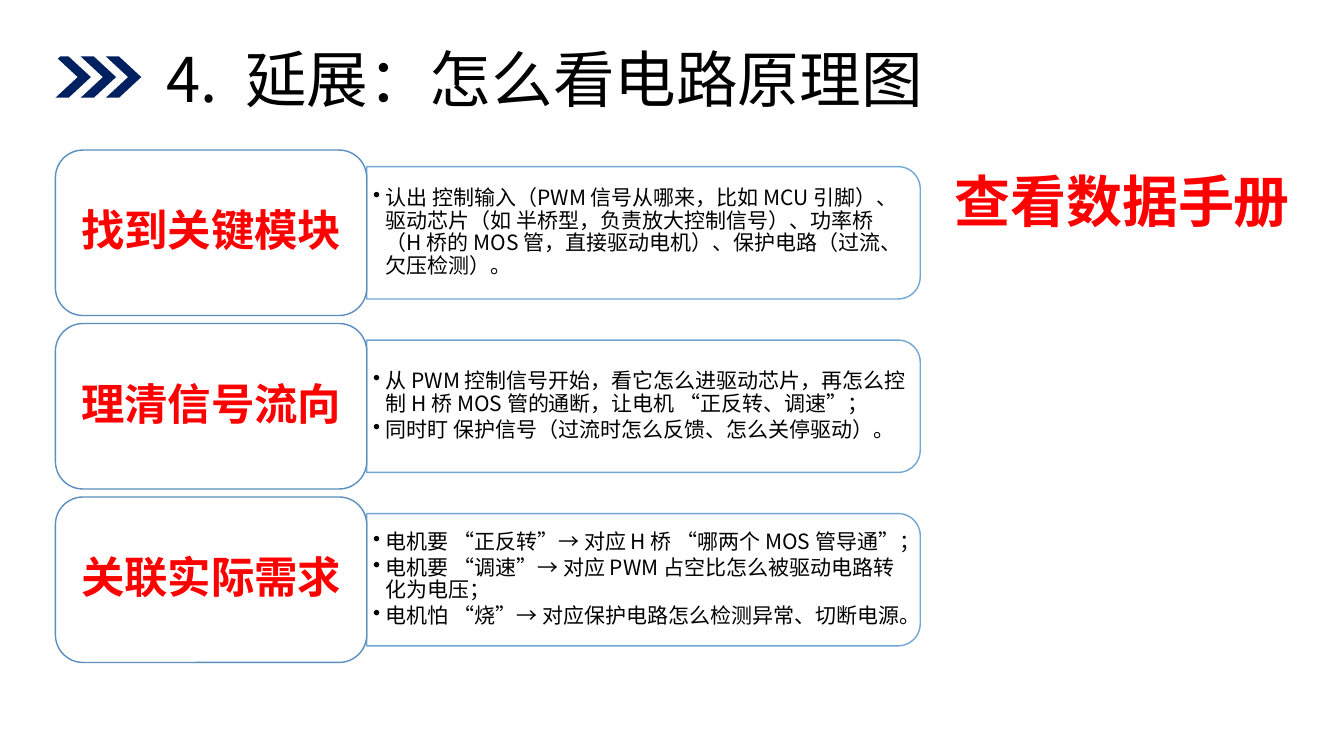
from lxml.etree import SubElement
from pptx import Presentation
from pptx.dml.color import RGBColor
from pptx.enum.lang import MSO_LANGUAGE_ID as Language
from pptx.enum.shapes import MSO_SHAPE as Preset
from pptx.enum.text import MSO_ANCHOR as Anchor, PP_ALIGN as Align
from pptx.oxml.ns import qn
from pptx.util import Pt

FONT = "Noto Sans CJK SC"
WHITE, BLACK, RED, NAVY = "FFFFFF", "000000", "FF0000", "002060"
LABEL_LINE, DETAIL_LINE = "598EBE", "629DD1"

LEFT, FIRST_TOP, ROW_STEP = 39.6, 107.2, 123.9
LABEL_WIDTH, LABEL_HEIGHT = 222.4, 118.2
DETAIL_WIDTH, DETAIL_HEIGHT = 395.3, 94.5
DETAIL_TEXT_WIDTH, DETAIL_TEXT_HEIGHT = 390.3, 85

STEPS = [
    ("找到关键模块", [
        "认出 控制输入（PWM 信号从哪来，比如 MCU 引脚）、驱动芯片（如 半桥型，负责放大控制信号）、"
        "功率桥（H 桥的 MOS 管，直接驱动电机）、保护电路（过流、欠压检测）。",
    ]),
    ("理清信号流向", [
        "从 PWM 控制信号开始，看它怎么进驱动芯片，再怎么控制 H 桥 MOS 管的通断，让电机 “正反转、调速”；",
        "同时盯 保护信号（过流时怎么反馈、怎么关停驱动）。",
    ]),
    ("关联实际需求", [
        "电机要 “正反转”→ 对应 H 桥 “哪两个 MOS 管导通”；",
        "电机要 “调速”→ 对应 PWM 占空比怎么被驱动电路转化为电压；",
        "电机怕 “烧”→ 对应保护电路怎么检测异常、切断电源。",
    ]),
]


def color(value):
    return RGBColor.from_string(value)


def paint(shape, fill, line=None, opacity=None):
    """Set fill and outline; opacity is a percentage for both."""
    shape.shadow.inherit = False
    shape.fill.solid()
    shape.fill.fore_color.rgb = color(fill)
    if line:
        shape.line.color.rgb = color(line)
        shape.line.width = Pt(1)
    else:
        shape.line.fill.background()
    if opacity:
        for tint in shape._element.spPr.iter(qn("a:srgbClr")):
            SubElement(tint, qn("a:alpha"), val=str(opacity * 1000))


def add_bullet(para, indent):
    properties = para._p.get_or_add_pPr()
    properties.set("marL", str(Pt(indent)))
    properties.set("indent", str(-Pt(indent)))
    SubElement(properties, qn("a:buChar"), char="•")


def write(shape, texts, size, ink=BLACK, bold=False, align=Align.LEFT,
          anchor=Anchor.MIDDLE, insets=(7.2, 3.6), spacing=0.9, after=0,
          bullet_indent=0, wrap=True):
    frame = shape.text_frame
    frame.word_wrap = wrap
    frame.vertical_anchor = anchor
    frame.margin_left = frame.margin_right = Pt(insets[0])
    frame.margin_top = frame.margin_bottom = Pt(insets[1])
    for index, text in enumerate(texts):
        para = frame.add_paragraph() if index else frame.paragraphs[0]
        if bullet_indent:
            add_bullet(para, bullet_indent)
        para.alignment = align
        para.line_spacing = spacing
        para.space_after = Pt(after)
        span = para.add_run()
        span.text = text
        font = span.font
        font.size, font.bold, font.name = Pt(size), bold, FONT
        font.color.rgb = color(ink)
        font.language_id = Language.SIMPLIFIED_CHINESE
        SubElement(span._r.get_or_add_rPr(), qn("a:ea"), typeface=FONT)


def add_text(page, left, top, width, height, texts, **style):
    box = page.shapes.add_textbox(Pt(left), Pt(top), Pt(width), Pt(height))
    write(box, texts, **style)


def add_outline(page, points, fill):
    start, *rest = [(Pt(x), Pt(y)) for x, y in points]
    builder = page.shapes.build_freeform(*start)
    builder.add_line_segments(rest, close=True)
    paint(builder.convert_to_shape(), fill)


def add_chevron(page, left, top=40.3, bottom=69.8):
    middle, band, notch = (top + bottom) / 2, 9.4, 15.9
    add_outline(page, [
        (left, top), (left + band, top), (left + band + notch, middle),
        (left + band, bottom), (left, bottom), (left + notch, middle),
    ], NAVY)


def add_step(page, top, label, details):
    middle = top + LABEL_HEIGHT / 2
    detail_left = LEFT + LABEL_WIDTH
    # The panel is turned a quarter, so its width and height swap.
    panel = page.shapes.add_shape(
        Preset.ROUND_2_SAME_RECTANGLE,
        Pt(detail_left + (DETAIL_WIDTH - DETAIL_HEIGHT) / 2),
        Pt(middle - DETAIL_WIDTH / 2), Pt(DETAIL_HEIGHT), Pt(DETAIL_WIDTH))
    panel.rotation = 90
    paint(panel, WHITE, DETAIL_LINE, opacity=90)
    add_text(page, detail_left, middle - DETAIL_TEXT_HEIGHT / 2,
             DETAIL_TEXT_WIDTH, DETAIL_TEXT_HEIGHT, details, size=15,
             insets=(4.5, 2.25), after=2.25, bullet_indent=9)
    card = page.shapes.add_shape(Preset.ROUNDED_RECTANGLE, Pt(LEFT), Pt(top),
                                 Pt(LABEL_WIDTH), Pt(LABEL_HEIGHT))
    paint(card, WHITE, LABEL_LINE)
    write(card, [label], size=31, ink=RED, bold=True, align=Align.CENTER,
          insets=(9.3, 4.6), after=10.85)


def main():
    deck = Presentation()
    deck.slide_width, deck.slide_height = Pt(960), Pt(540)
    page = deck.slides.add_slide(deck.slide_layouts[6])
    for index in range(3):
        add_chevron(page, LEFT + 18 * index)
    corner_mask = [(45.4, 33.1), (47.5, 35.3), (36.7, 46.8),
                   (28.8, 39.6), (31, 37.4), (36.7, 42.5)]
    add_outline(page, corner_mask, WHITE)
    add_text(page, 111.6, 28.8, 808.6, 59.8,
             ["4.  延展：怎么看电路原理图"], size=44)
    for index, (label, details) in enumerate(STEPS):
        add_step(page, FIRST_TOP + ROW_STEP * index, label, details)
    add_text(page, 674.6, 115.2, 257, 55.4, ["查看数据手册"], size=40, ink=RED,
             bold=True, anchor=Anchor.TOP, spacing=1.0, wrap=False)
    deck.save("out.pptx")


if __name__ == "__main__":
    main()
